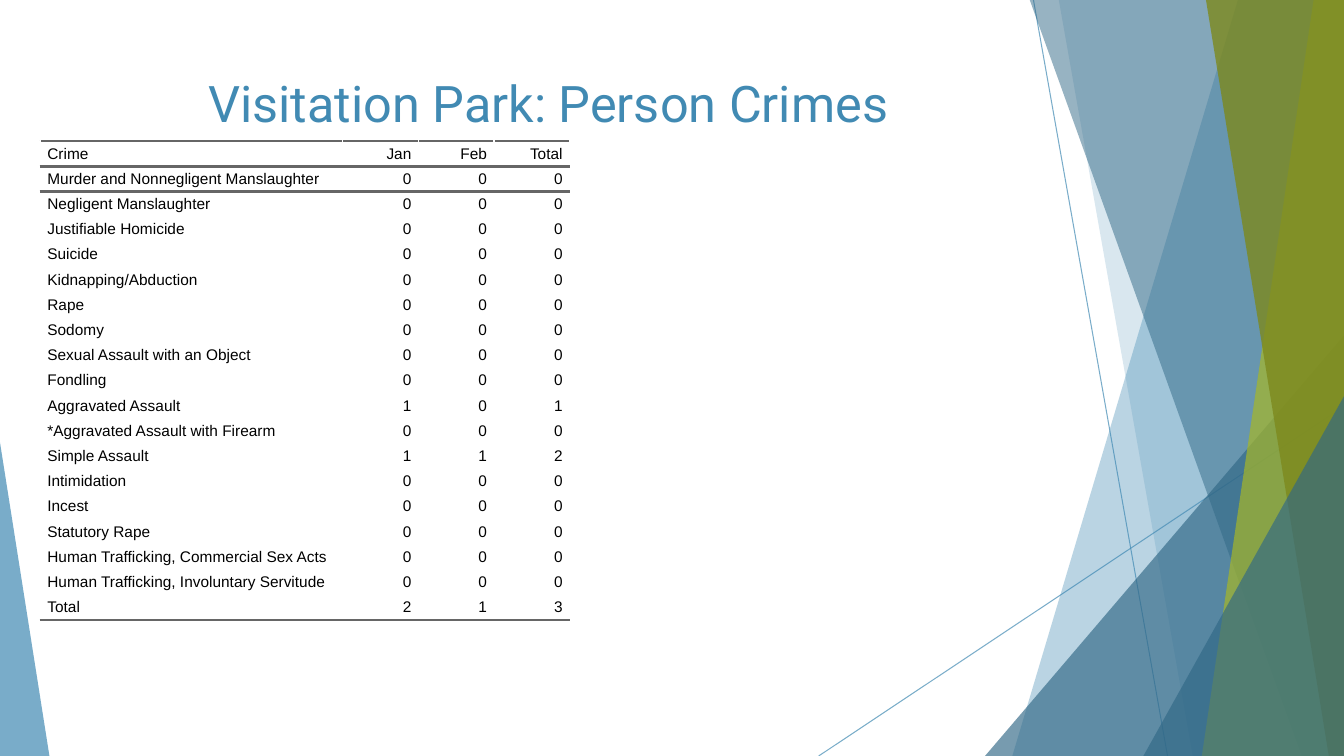
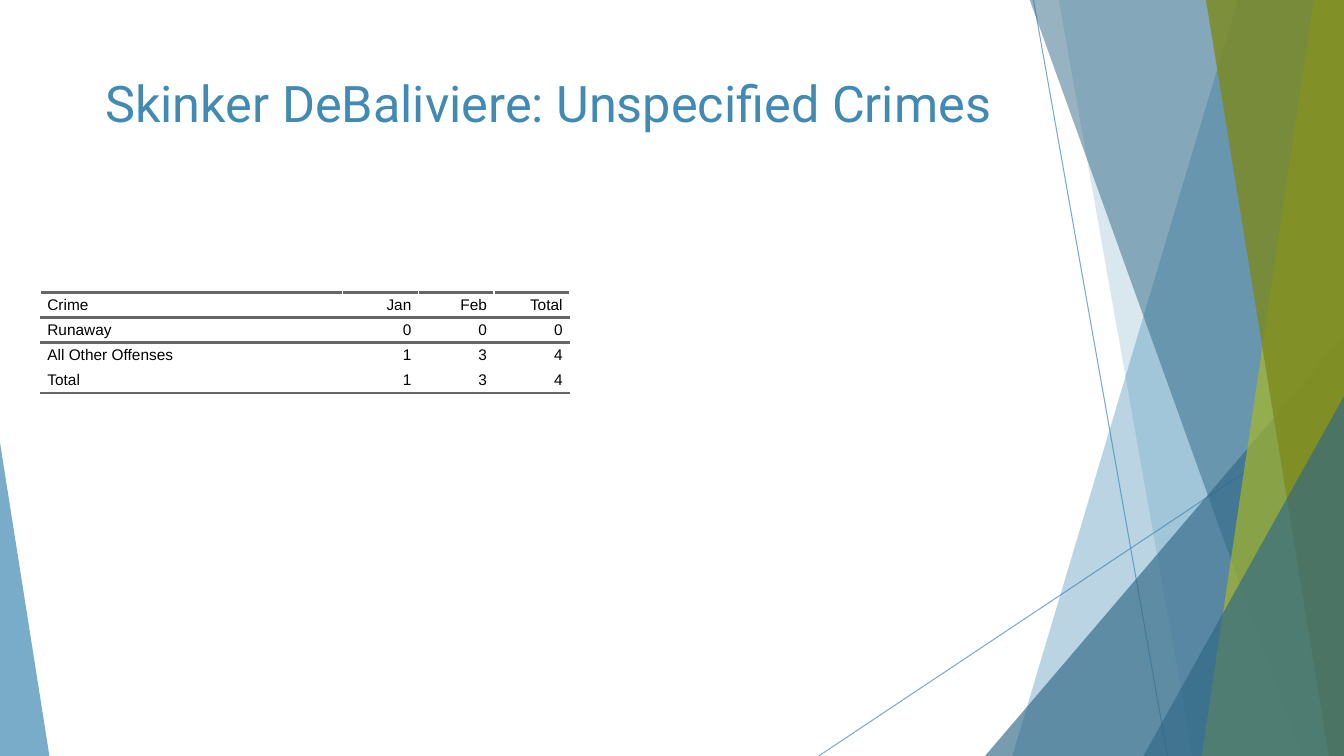
from lxml.etree import SubElement
from pptx import Presentation
from pptx.dml.color import RGBColor
from pptx.enum.shapes import MSO_CONNECTOR as CONNECTOR, MSO_SHAPE as SHAPE
from pptx.enum.text import MSO_ANCHOR as ANCHOR, PP_ALIGN as ALIGN
from pptx.oxml import parse_xml
from pptx.oxml.ns import nsdecls, qn
from pptx.util import Inches, Pt

WIDTH, HEIGHT = 13.33, 7.5
BLUE, DARK_BLUE = "418AB3", "316886"
LIME, OLIVE = "A6B727", "7D891D"
BLACK, GRAY = "000000", "666666"

COLUMN_WIDTHS = [3, 0.75, 0.75, 0.75]
ROW_HEIGHT = 0.25
HEADER = ("Crime", "Jan", "Feb", "Total")

PERSON_CRIMES = [
    ("Murder and Nonnegligent Manslaughter", 0, 0),
    ("Negligent Manslaughter", 0, 0),
    ("Justifiable Homicide", 0, 0),
    ("Suicide", 0, 0),
    ("Kidnapping/Abduction", 0, 0),
    ("Rape", 0, 0),
    ("Sodomy", 0, 0),
    ("Sexual Assault with an Object", 0, 0),
    ("Fondling", 0, 0),
    ("Aggravated Assault", 1, 0),
    ("*Aggravated Assault with Firearm", 0, 0),
    ("Simple Assault", 1, 1),
    ("Intimidation", 0, 0),
    ("Incest", 0, 0),
    ("Statutory Rape", 0, 0),
    ("Human Trafficking, Commercial Sex Acts", 0, 0),
    ("Human Trafficking, Involuntary Servitude", 0, 0),
]
UNSPECIFIED_CRIMES = [("Runaway", 0, 0), ("All Other Offenses", 1, 3)]


def paint(color_format, color, opacity=100):
    """Set a hex colour, with opacity in percent, on a fill or line."""
    color_format.solid()
    color_format.fore_color.rgb = RGBColor.from_string(color)
    if opacity < 100:
        solid = color_format._xPr.find(qn("a:solidFill"))
        SubElement(solid[0], qn("a:alpha"), val=str(opacity * 1000))


def write(frame, text, font="Arial", size=11, color=BLACK, align=ALIGN.LEFT):
    paragraph = frame.paragraphs[0]
    paragraph.alignment = align
    run = paragraph.add_run()
    run.text = text
    run.font.name = font
    run.font.size = Pt(size)
    paint(run.font.fill, color)


def rule_cell(cell, *sides):
    """Draw a gray rule on the given cell sides (T before B)."""
    properties = cell._tc.get_or_add_tcPr()
    for position, side in enumerate(sides):
        properties.insert(position, parse_xml(
            f'<a:ln{side} {nsdecls("a")} w="{Pt(2)}"><a:solidFill>'
            f'<a:srgbClr val="{GRAY}"/></a:solidFill></a:ln{side}>'))


class CrimeDeck:
    def __init__(self):
        self.presentation = Presentation()
        self.presentation.slide_width = Inches(WIDTH)
        self.presentation.slide_height = Inches(HEIGHT)
        self.shapes = None

    def add_slide(self, title, table_top, crimes):
        blank = self.presentation.slide_layouts[6]
        self.shapes = self.presentation.slides.add_slide(blank).shapes
        self.backdrop()
        self.crime_table(table_top, crimes)
        self.title(title)

    def backdrop(self):
        self.line(10.25, 0, 11.58, HEIGHT)
        self.line(WIDTH, 4.03, 8.12, HEIGHT)
        self.band(12.28, 10.04, BLUE, 36)
        self.band(10.5, 11.83, BLUE, 20)
        self.triangle(9.77, 3.33, 3.56, DARK_BLUE, 66, apex=1)
        self.band(10.21, 12.91, DARK_BLUE, 50)
        self.band(13.03, 11.92, LIME, 70)
        self.band(11.96, 13.18, OLIVE, 80)
        self.triangle(11.34, 3.93, 1.99, DARK_BLUE, 66, apex=1)
        self.triangle(0, 4.39, 0.49, BLUE, 70, apex=0)

    def line(self, x1, y1, x2, y2):
        ends = map(Inches, (x1, y1, x2, y2))
        line = self.shapes.add_connector(CONNECTOR.STRAIGHT, *ends)
        line.line.width = Pt(0.75)
        paint(line.line.fill, BLUE, 70)
        SubElement(line._element.spPr, qn("a:effectLst"))

    def band(self, top_x, bottom_x, color, opacity):
        """Fill from a slanted left edge to the right edge of the slide."""
        corners = [(top_x, -0.01), (WIDTH, -0.01), (WIDTH, HEIGHT), (bottom_x, HEIGHT)]
        points = [(Inches(x), Inches(y)) for x, y in corners]
        outline = self.shapes.build_freeform(*points[0])
        outline.add_line_segments(points[1:])
        self.finish(outline.convert_to_shape(), color, opacity)

    def triangle(self, left, top, width, color, opacity, apex):
        """Stand a triangle on the bottom edge of the slide."""
        box = map(Inches, (left, top, width, HEIGHT - top))
        triangle = self.shapes.add_shape(SHAPE.ISOSCELES_TRIANGLE, *box)
        triangle.adjustments[0] = apex
        self.finish(triangle, color, opacity)

    def finish(self, shape, color, opacity):
        shape.shadow.inherit = False
        shape.line.fill.background()
        paint(shape.fill, color, opacity)

    def title(self, text):
        box = map(Inches, (0.74, 0.67, 9.4, 1.44))
        frame = self.shapes.add_textbox(*box).text_frame
        frame.word_wrap = True
        write(frame, text, font="Roboto", size=36, color=BLUE, align=ALIGN.CENTER)

    def crime_table(self, top, crimes):
        jan = sum(row[1] for row in crimes)
        feb = sum(row[2] for row in crimes)
        counts = [*crimes, ("Total", jan, feb)]
        rows = [HEADER] + [(crime, a, b, a + b) for crime, a, b in counts]
        box = map(Inches, (0.4, top, sum(COLUMN_WIDTHS), ROW_HEIGHT * len(rows)))
        table = self.shapes.add_table(len(rows), len(HEADER), *box).table
        table.first_row = table.horz_banding = False
        for column, width in zip(table.columns, COLUMN_WIDTHS):
            column.width = Inches(width)
        for r, row in enumerate(rows):
            table.rows[r].height = Inches(ROW_HEIGHT)
            for c, value in enumerate(row):
                self.table_cell(table.cell(r, c), str(value),
                                ALIGN.RIGHT if c else ALIGN.LEFT)
                if r == 0:
                    rule_cell(table.cell(r, c), "T", "B")
                elif r == 1:
                    rule_cell(table.cell(r, c), "T")
                elif r == len(rows) - 1:
                    rule_cell(table.cell(r, c), "B")

    def table_cell(self, cell, text, align):
        cell.fill.background()
        cell.vertical_anchor = ANCHOR.MIDDLE
        cell.margin_top = cell.margin_bottom = 0
        cell.margin_left = cell.margin_right = Inches(0.07)
        write(cell.text_frame, text, align=align)


def main():
    deck = CrimeDeck()
    deck.add_slide("Visitation Park: Person Crimes", 1.4, PERSON_CRIMES)
    deck.add_slide("Skinker DeBaliviere: Unspecified Crimes", 2.9, UNSPECIFIED_CRIMES)
    deck.presentation.save("out.pptx")


if __name__ == "__main__":
    main()
